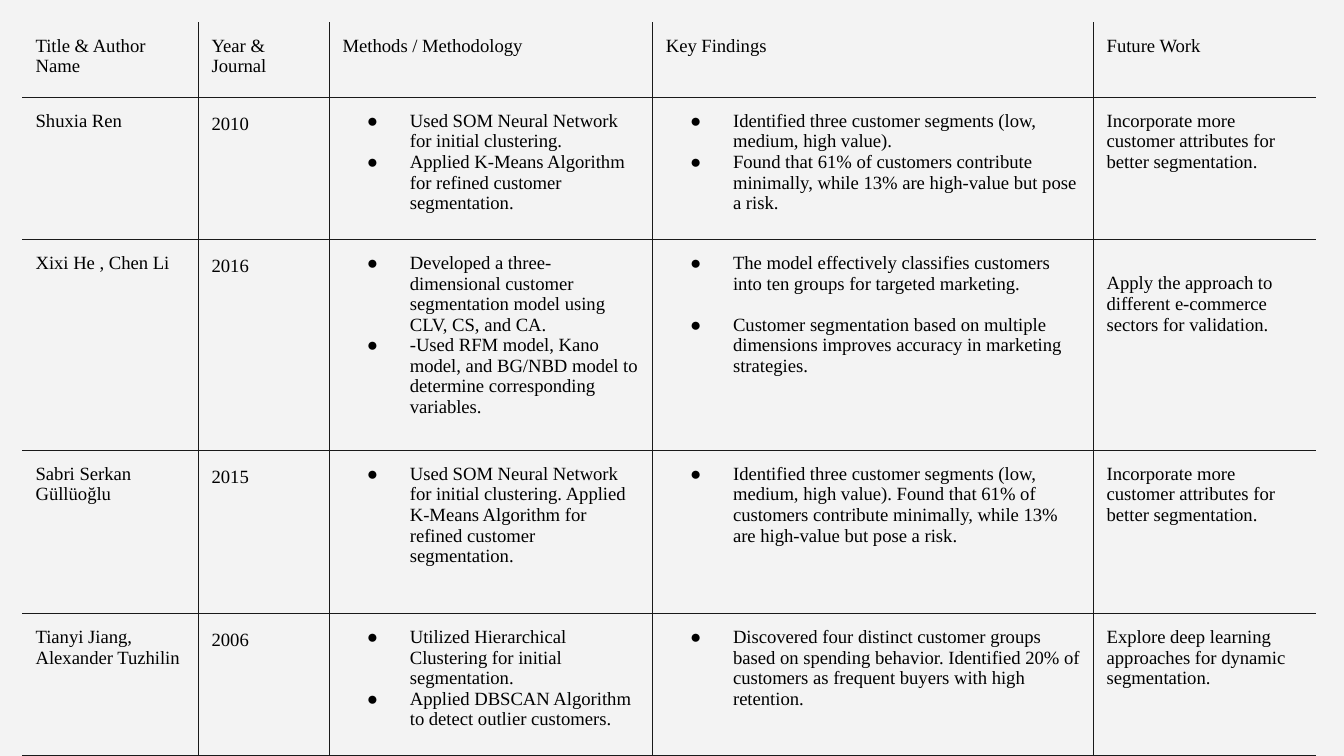
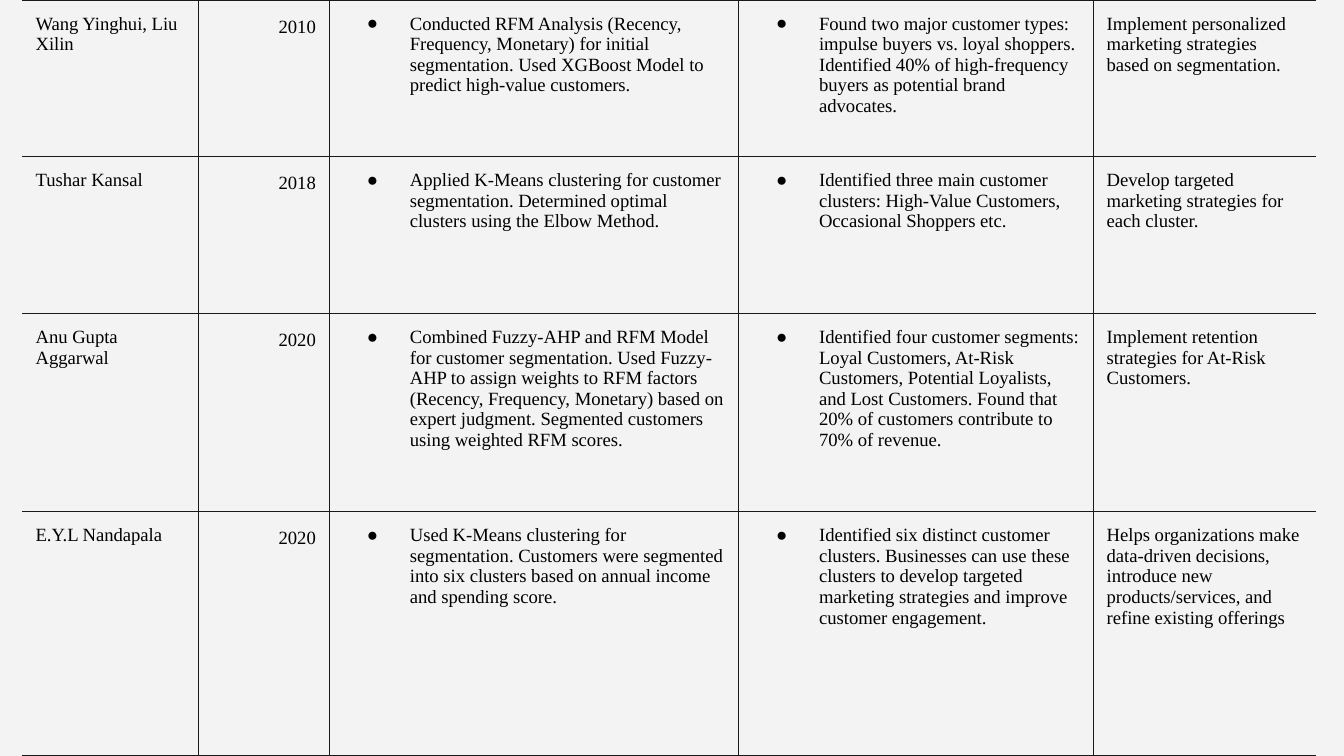
from lxml import etree
from pptx import Presentation
from pptx import util as u
from pptx.dml.color import RGBColor
from pptx.enum import text
from pptx.oxml.ns import qn

PAPER = RGBColor(0xF3, 0xF3, 0xF3)
RULE = RGBColor(0x19, 0x19, 0x19)
INK = RGBColor(0, 0, 0)
FONT = "Times New Roman"
SIZE = u.Pt(10)
LINE = u.Pt(11)
PAD = u.Inches(0.1)
WIDE = u.Inches(10)
HIGH = u.Emu(WIDE * 9 // 16)
LEFT = 1.65  # percent of the slide's width
YEAR, FINDING, FUTURE = 1, 3, 4

HEAD = ["Title & Author Name", "Year & Journal", "Methods / Methodology",
        "Key Findings", "Future Work"]
EARLY = [
    ["Shuxia Ren", "2010",
     ["Used SOM Neural Network for initial clustering.",
      "Applied K-Means Algorithm for refined customer segmentation."],
     ["Identified three customer segments (low, medium, high value).",
      "Found that 61% of customers contribute minimally, while 13% are "
      "high-value but pose a risk."],
     "Incorporate more customer attributes for better segmentation."],
    ["Xixi He , Chen Li", "2016",
     ["Developed a three-dimensional customer segmentation model using "
      "CLV, CS, and CA.",
      "-Used RFM model, Kano model, and BG/NBD model to determine "
      "corresponding variables."],
     ["The model effectively classifies customers into ten groups for "
      "targeted marketing.",
      "Customer segmentation based on multiple dimensions improves accuracy "
      "in marketing strategies."],
     "Apply the approach to different e-commerce sectors for validation."],
    ["Sabri Serkan Güllüoğlu", "2015",
     ["Used SOM Neural Network for initial clustering. Applied K-Means "
      "Algorithm for refined customer segmentation."],
     ["Identified three customer segments (low, medium, high value). Found "
      "that 61% of customers contribute minimally, while 13% are high-value "
      "but pose a risk."],
     "Incorporate more customer attributes for better segmentation."],
    ["Tianyi Jiang, Alexander Tuzhilin", "2006",
     ["Utilized Hierarchical Clustering for initial segmentation.",
      "Applied DBSCAN Algorithm to detect outlier customers."],
     ["Discovered four distinct customer groups based on spending behavior. "
      "Identified 20% of customers as frequent buyers with high retention."],
     "Explore deep learning approaches for dynamic segmentation."],
]
LATE = [
    ["Wang Yinghui, Liu Xilin", "2010",
     ["Conducted RFM Analysis (Recency, Frequency, Monetary) for initial "
      "segmentation. Used XGBoost Model to predict high-value customers."],
     ["Found two major customer types: impulse buyers vs. loyal shoppers. "
      "Identified 40% of high-frequency buyers as potential brand advocates."],
     "Implement personalized marketing strategies based on segmentation."],
    ["Tushar Kansal", "2018",
     ["Applied K-Means clustering for customer segmentation. Determined "
      "optimal clusters using the Elbow Method."],
     ["Identified three main customer clusters: High-Value Customers, "
      "Occasional Shoppers etc."],
     "Develop targeted marketing strategies for each cluster."],
    ["Anu Gupta Aggarwal", "2020",
     ["Combined Fuzzy-AHP and RFM Model for customer segmentation. Used "
      "Fuzzy-AHP to assign weights to RFM factors (Recency, Frequency, "
      "Monetary) based on expert judgment. Segmented customers using "
      "weighted RFM scores."],
     ["Identified four customer segments: Loyal Customers, At-Risk Customers, "
      "Potential Loyalists, and Lost Customers. Found that 20% of customers "
      "contribute to 70% of revenue."],
     "Implement retention strategies for At-Risk Customers."],
    ["E.Y.L Nandapala", "2020",
     ["Used K-Means clustering for segmentation. Customers were segmented "
      "into six clusters based on annual income and spending score."],
     ["Identified six distinct customer clusters. Businesses can use these "
      "clusters to develop targeted marketing strategies and improve "
      "customer engagement."],
     "Helps organizations make data-driven decisions, introduce new "
     "products/services, and refine existing offerings"],
]


def part(size, share):
    """Turn a percentage of a slide side into a length."""
    return u.Emu(round(size * share / 100))


def add_rule(cell, side, shown):
    line = etree.SubElement(cell._tc.get_or_add_tcPr(), qn("a:ln" + side),
                            w=str(u.Pt(0.75)))
    if shown:
        fill = etree.SubElement(line, qn("a:solidFill"))
        etree.SubElement(fill, qn("a:srgbClr"), val=str(RULE))
    else:
        etree.SubElement(line, qn("a:noFill"))


def add_bullet(para):
    props = para._p.get_or_add_pPr()
    props.set("marL", str(u.Inches(0.5)))
    props.set("indent", str(u.Inches(-0.32)))
    tint = etree.SubElement(props, qn("a:buClr"))
    etree.SubElement(tint, qn("a:srgbClr"), val=str(INK))
    etree.SubElement(props, qn("a:buFont"), typeface=FONT)
    etree.SubElement(props, qn("a:buChar"), char="●")


def fill_cell(cell, words):
    """Write one paragraph for a string, or a bullet for each list item."""
    cell.margin_left = cell.margin_right = PAD
    cell.margin_top = cell.margin_bottom = PAD
    cell.vertical_anchor = text.MSO_ANCHOR.TOP
    frame = cell.text_frame
    listed = isinstance(words, list)
    for i, item in enumerate(words if listed else [words]):
        para = frame.add_paragraph() if i else frame.paragraphs[0]
        if listed:
            add_bullet(para)
        run = para.add_run()
        run.text = item
        font = run.font
        font.name, font.size, font.bold = FONT, SIZE, False
        font.color.rgb = INK


def add_grid(slide, top, cols, rows, data, lid):
    """Lay out a table in percent; lid tells whether its top edge is ruled."""
    frame = slide.shapes.add_table(
        len(rows), len(cols), part(WIDE, LEFT), part(HIGH, top),
        part(WIDE, sum(cols)), part(HIGH, sum(rows)))
    grid = frame.table
    grid.first_row = grid.horz_banding = False
    for col, share in zip(grid.columns, cols):
        col.width = part(WIDE, share)
    for row, share in zip(grid.rows, rows):
        row.height = part(HIGH, share)
    for r, line in enumerate(data):
        for c, words in enumerate(line):
            cell = grid.cell(r, c)
            fill_cell(cell, words)
            add_rule(cell, "L", c > 0)
            add_rule(cell, "R", c < len(cols) - 1)
            add_rule(cell, "T", lid or r > 0)
            add_rule(cell, "B", True)
            cell.fill.background()
    return grid


def set_years(grid, first, align):
    for r in range(first, len(grid.rows)):
        para = grid.cell(r, YEAR).text_frame.paragraphs[0]
        para.line_spacing = 1.15
        para.alignment = align


def add_page(deck):
    slide = deck.slides.add_slide(deck.slide_layouts[6])
    slide.background.fill.solid()
    slide.background.fill.fore_color.rgb = PAPER
    return slide


def main():
    deck = Presentation()
    deck.slide_width, deck.slide_height = WIDE, HIGH

    grid = add_grid(add_page(deck), 2.95, [13.1, 9.75, 24.05, 32.8, 16.6],
                    [9.93, 18.8, 27.9, 21.6, 18.8], [HEAD] + EARLY, False)
    set_years(grid, 1, text.PP_ALIGN.LEFT)
    grid.cell(2, FINDING).text_frame.paragraphs[1].space_before = LINE
    grid.cell(2, FUTURE).margin_top = PAD + LINE

    grid = add_grid(add_page(deck), 0, [13.1, 9.75, 30.45, 26.4, 16.6],
                    [20.7, 20.8, 26.2, 32.3], LATE, True)
    set_years(grid, 0, text.PP_ALIGN.RIGHT)

    deck.save("out.pptx")


if __name__ == "__main__":
    main()
